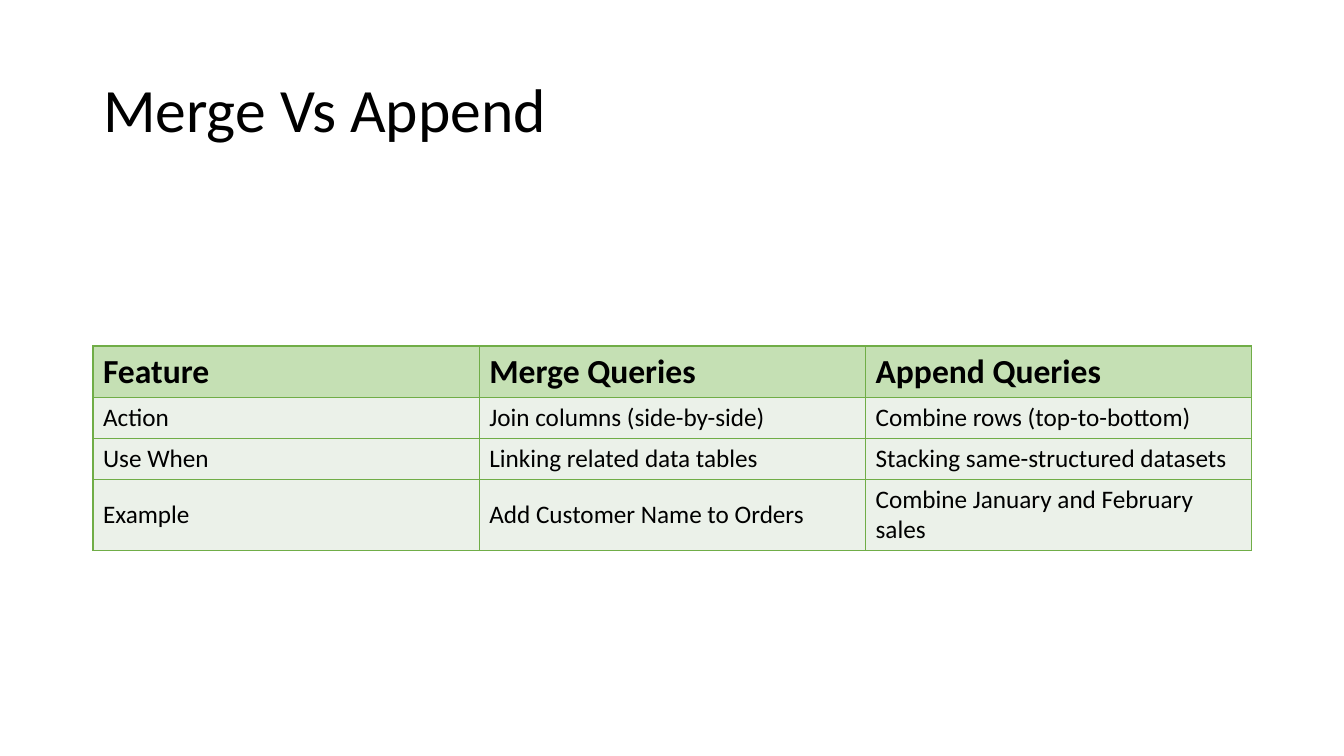
from lxml.etree import SubElement
from pptx import Presentation
from pptx.dml.color import RGBColor
from pptx.enum.text import MSO_ANCHOR, PP_ALIGN
from pptx.oxml.ns import qn
from pptx.util import Pt

TITLE = "Merge Vs Append"
ROWS = [
    ("Feature", "Merge Queries", "Append Queries"),
    ("Action", "Join columns (side-by-side)", "Combine rows (top-to-bottom)"),
    ("Use When", "Linking related data tables", "Stacking same-structured datasets"),
    ("Example", "Add Customer Name to Orders", "Combine January and February sales"),
]
COLORS = {"text": "000000", "header": "C5E0B4", "body": "EBF1E9", "border": "70AD47"}
FONT = "Calibri"
SLIDE_W, SLIDE_H = 1344, 756
LEFT, WIDTH = 93, 1159
TITLE_TOP, TITLE_H = 40, 146
TABLE_TOP = 346
ROW_HEIGHTS = [51, 41, 41, 71]


def px(n):
    return round(n * 914400 / 100.8)


def rgb(name):
    return RGBColor.from_string(COLORS[name])


def style_paragraph(p, size, bold=False):
    p.alignment = PP_ALIGN.LEFT
    p.font.name = FONT
    p.font.size = Pt(size)
    p.font.bold = bold
    p.font.color.rgb = rgb("text")


def add_borders(cell):
    """Line all four sides; the lines must precede the cell's fill."""
    tc_pr = cell._tc.get_or_add_tcPr()
    for i, side in enumerate(("lnL", "lnR", "lnT", "lnB")):
        ln = SubElement(tc_pr, qn(f"a:{side}"), w=str(Pt(1)))
        fill = SubElement(ln, qn("a:solidFill"))
        SubElement(fill, qn("a:srgbClr"), val=COLORS["border"])
        tc_pr.insert(i, ln)


def add_title(slide):
    title = slide.shapes.title
    title.left, title.top = px(LEFT), px(TITLE_TOP)
    title.width, title.height = px(WIDTH), px(TITLE_H)
    tf = title.text_frame
    tf.text = TITLE
    tf.vertical_anchor = MSO_ANCHOR.MIDDLE
    p = tf.paragraphs[0]
    p.line_spacing = 0.9
    style_paragraph(p, 44)


def add_comparison(slide):
    table = slide.shapes.add_table(
        len(ROWS), len(ROWS[0]), px(LEFT), px(TABLE_TOP), px(WIDTH), px(sum(ROW_HEIGHTS))
    ).table
    for row, height in zip(table.rows, ROW_HEIGHTS):
        row.height = px(height)
    for r, texts in enumerate(ROWS):
        header = r == 0
        for c, text in enumerate(texts):
            cell = table.cell(r, c)
            cell.text = text
            cell.vertical_anchor = MSO_ANCHOR.MIDDLE
            cell.fill.solid()
            cell.fill.fore_color.rgb = rgb("header" if header else "body")
            style_paragraph(cell.text_frame.paragraphs[0], 24 if header else 18, header)
            add_borders(cell)


def main():
    prs = Presentation()
    prs.slide_width, prs.slide_height = px(SLIDE_W), px(SLIDE_H)
    slide = prs.slides.add_slide(prs.slide_layouts[5])
    add_title(slide)
    add_comparison(slide)
    prs.save("out.pptx")


if __name__ == "__main__":
    main()
